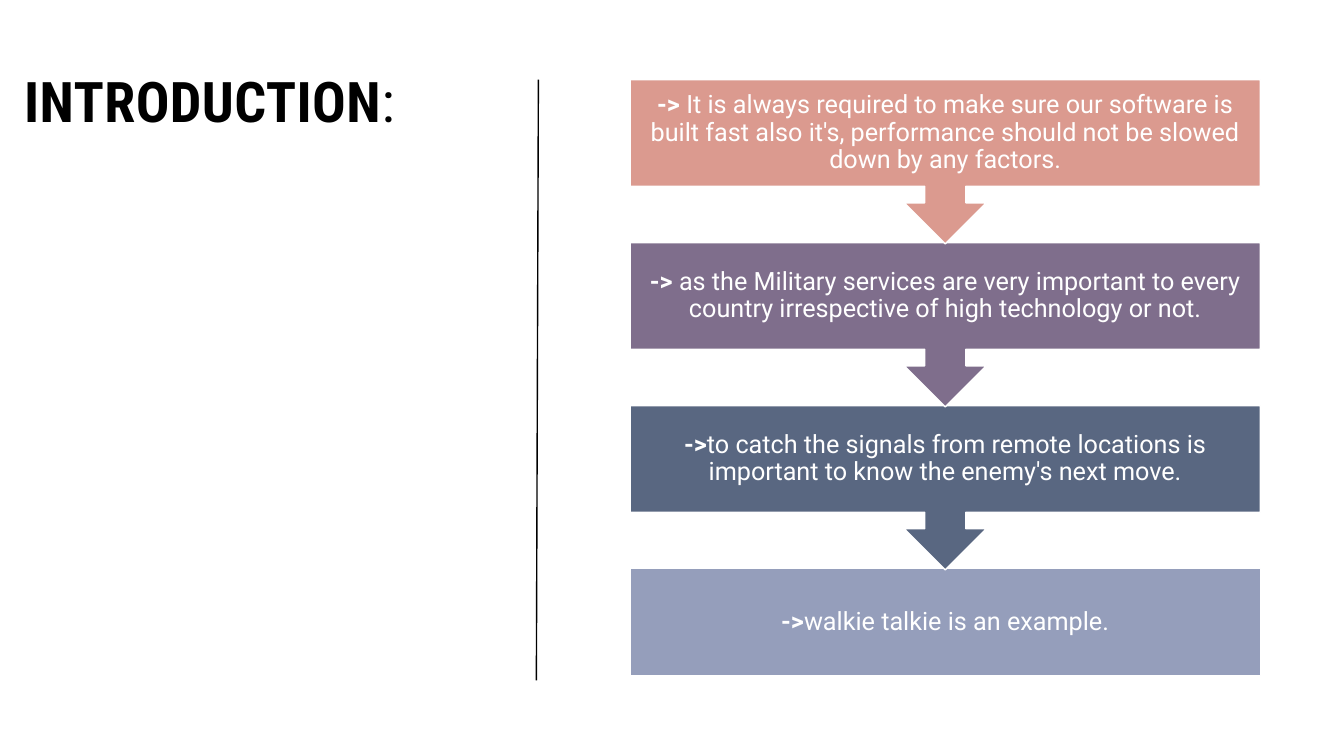
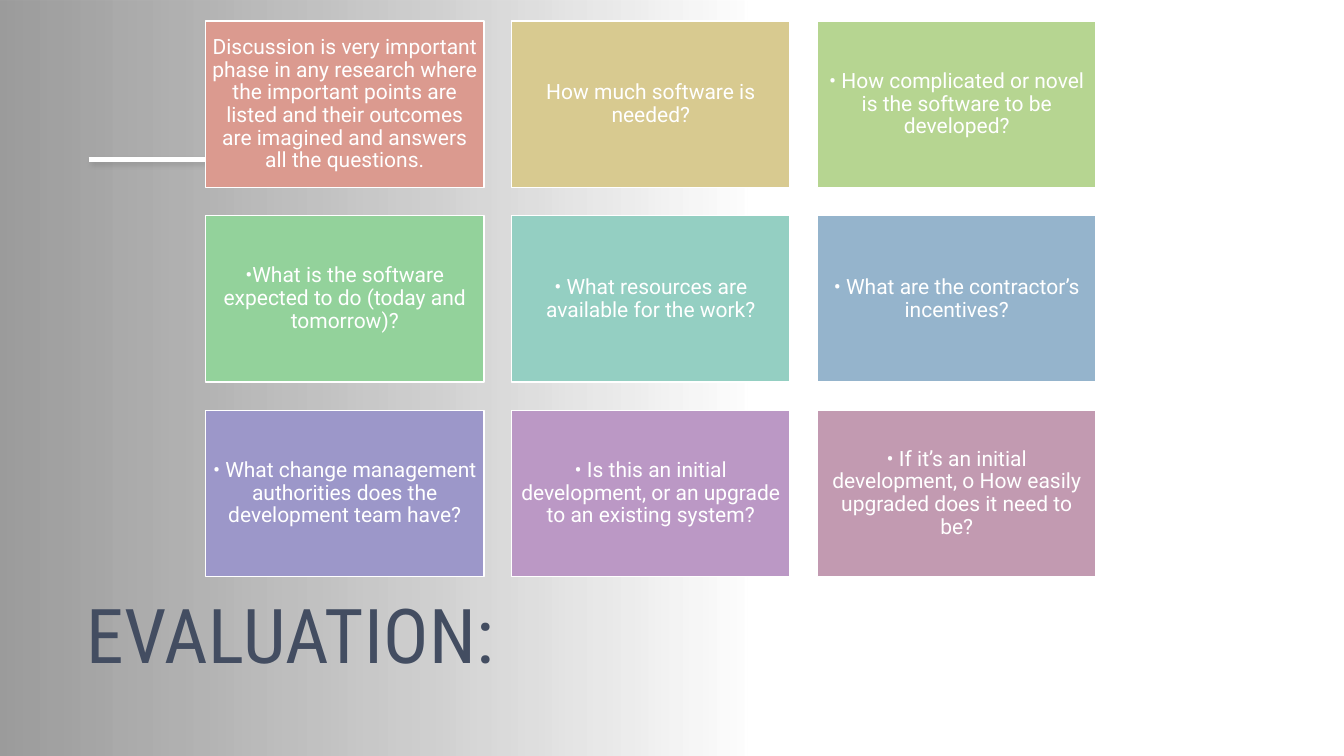
from dataclasses import dataclass

from lxml import etree
from pptx import Presentation
from pptx import util as u
from pptx.dml.color import RGBColor
from pptx.enum import shapes, text
from pptx.oxml import ns

HEAD, BODY = "Roboto Condensed", "Roboto"
WHITE, BLACK, SLATE = "FFFFFF", "000000", "434D61"
KIND = shapes.MSO_SHAPE


@dataclass
class Run:
    text: str
    bold: bool = False


@dataclass
class Card:
    fill: str
    runs: list[Run]


@dataclass
class Box:
    left: float
    top: float
    width: float
    height: float

    def emu(self) -> list[u.Length]:
        return [u.Inches(n) for n in (self.left, self.top, self.width, self.height)]


@dataclass
class Style:
    font: str
    size: float
    color: str


STEPS = [
    Card("DB9A8F", [Run("->", True), Run(
        " It is always required to make sure our software is built fast "
        "also it's, performance should not be slowed down by any factors.")]),
    Card("7F6E8C", [Run("->", True), Run(
        " as the Military services are very important to every country "
        "irrespective of high technology or not.")]),
    Card("596781", [Run("->", True), Run(
        "to catch the signals from remote locations is important to know "
        "the enemy's next move.")]),
    Card("959EBB", [Run("->", True), Run("walkie talkie is an example.")]),
]

TILES = [
    Card("DB9A8F", [Run(
        "Discussion is very important phase in any research where the "
        "important points are listed and their outcomes are imagined and "
        "answers all the questions.")]),
    Card("D8CA90", [Run("How much software is needed?")]),
    Card("B6D591", [Run("• How complicated or novel is the software to be developed?")]),
    Card("93D29B", [Run("•What is the software expected to do (today and tomorrow)?")]),
    Card("94CFC2", [Run("• What resources are available for the work?")]),
    Card("95B4CC", [Run("• What are the contractor’s incentives?")]),
    Card("9C97C9", [Run(
        "• What change management authorities does the development team have?")]),
    Card("BB98C5", [Run(
        "• Is this an initial development, or an upgrade to an existing system?")]),
    Card("C29AB1", [Run(
        "• If it’s an initial development, o How easily upgraded does it need to be?")]),
]


def rgb(color: str) -> RGBColor:
    return RGBColor.from_string(color)


def node(parent, tag: str, **attrs):
    """Add a DrawingML child element."""
    return etree.SubElement(parent, ns.qn(f"a:{tag}"), attrs)


def tint(parent, color: str, alpha: int) -> None:
    node(node(parent, "srgbClr", val=color), "alpha", val=str(alpha * 1000))


def write(frame, runs: list[Run], style: Style) -> None:
    para = frame.paragraphs[0]
    for item in runs:
        run = para.add_run()
        run.text = item.text
        font = run.font
        font.name, font.size, font.bold = style.font, u.Pt(style.size), item.bold
        font.color.rgb = rgb(style.color)


def title(slide, box: Box, runs: list[Run], style: Style, anchor) -> None:
    shape = slide.shapes.title
    shape.left, shape.top, shape.width, shape.height = box.emu()
    frame = shape.text_frame
    frame.word_wrap = True
    frame.auto_size = text.MSO_AUTO_SIZE.NONE
    frame.vertical_anchor = anchor
    write(frame, runs, style)
    frame.paragraphs[0].alignment = text.PP_ALIGN.LEFT
    # Slight letter spacing
    for run in frame.paragraphs[0].runs:
        run._r.get_or_add_rPr().set("spc", "30")


def card(slide, kind, box: Box, data: Card, size: float, pad: float) -> None:
    shape = slide.shapes.add_shape(kind, *box.emu())
    shape.shadow.inherit = False
    shape.fill.solid()
    shape.fill.fore_color.rgb = rgb(data.fill)
    shape.line.color.rgb = rgb(WHITE)
    shape.line.width = u.Pt(1)
    frame = shape.text_frame
    frame.word_wrap = True
    frame.vertical_anchor = text.MSO_ANCHOR.MIDDLE
    frame.margin_left = frame.margin_right = u.Inches(pad)
    frame.margin_top = frame.margin_bottom = u.Inches(pad)
    write(frame, data.runs, Style(BODY, size, WHITE))
    para = frame.paragraphs[0]
    para.alignment = text.PP_ALIGN.CENTER
    para.line_spacing = 0.9


def rule(slide, start: tuple[float, float], end: tuple[float, float],
         color: str, width: float, shade: bool = False) -> None:
    ends = [u.Inches(n) for n in (*start, *end)]
    line = slide.shapes.add_connector(shapes.MSO_CONNECTOR.STRAIGHT, *ends)
    line.line.color.rgb = rgb(color)
    line.line.width = u.Pt(width)
    effects = node(line._element.spPr, "effectLst")
    if shade:
        drop = node(effects, "outerShdw", blurRad=str(u.Pt(4)), dist=str(u.Pt(3)),
                    dir="2700000", algn="tl", rotWithShape="0")
        tint(drop, BLACK, 13)


def panel(slide, box: Box, stops: list[tuple[int, int]]) -> None:
    """Black fade behind everything; stops are (position, opacity) in percent."""
    shape = slide.shapes.add_shape(KIND.RECTANGLE, *box.emu())
    shape.shadow.inherit = False
    shape.line.fill.background()
    shape.fill.gradient()
    shape.fill.gradient_angle = 0
    items = shape._element.spPr.find(".//" + ns.qn("a:gsLst"))
    for old in list(items):
        items.remove(old)
    for pos, alpha in stops:
        tint(node(items, "gs", pos=str(pos * 1000)), BLACK, alpha)
    slide.shapes._spTree.insert(2, shape._element)


def intro(slide) -> None:
    title(slide, Box(0.14, 0.61, 5.19, 4.99),
          [Run("INTRODUCTION", True), Run(":")],
          Style(HEAD, 40, BLACK), text.MSO_ANCHOR.TOP)
    rule(slide, (5.32, 6.75), (5.34, 0.79), BLACK, 1)
    # Steps from the bottom up, so each arrow tip lies over the next box
    last = len(STEPS) - 1
    for i in range(last, -1, -1):
        kind, high = ((KIND.RECTANGLE, 1.06) if i == last
                      else (KIND.DOWN_ARROW_CALLOUT, 1.63))
        card(slide, kind, Box(6.25, 0.79 + 1.617 * i, 6.25, high), STEPS[i], 18, 0.14)


def review(slide) -> None:
    panel(slide, Box(0, 0, 7.41, 7.5), [(0, 39), (58, 18), (100, 0)])
    title(slide, Box(0.76, 2.46, 5.13, 4.32), [Run("EVALUATION:")],
          Style(HEAD, 54, SLATE), text.MSO_ANCHOR.BOTTOM)
    rule(slide, (0.88, 1.58), (2.67, 1.58), WHITE, 3.5, shade=True)
    # Grid of questions, three to a row
    for i, data in enumerate(TILES):
        row, col = divmod(i, 3)
        box = Box(2.04 + 3.035 * col, 0.21 + 1.93 * row, 2.76, 1.65)
        card(slide, KIND.RECTANGLE, box, data, 15, 0.06)


def main() -> None:
    deck = Presentation()
    deck.slide_width, deck.slide_height = u.Inches(13.33), u.Inches(7.5)
    for build in (intro, review):
        build(deck.slides.add_slide(deck.slide_layouts[5]))
    deck.save("out.pptx")


if __name__ == "__main__":
    main()
